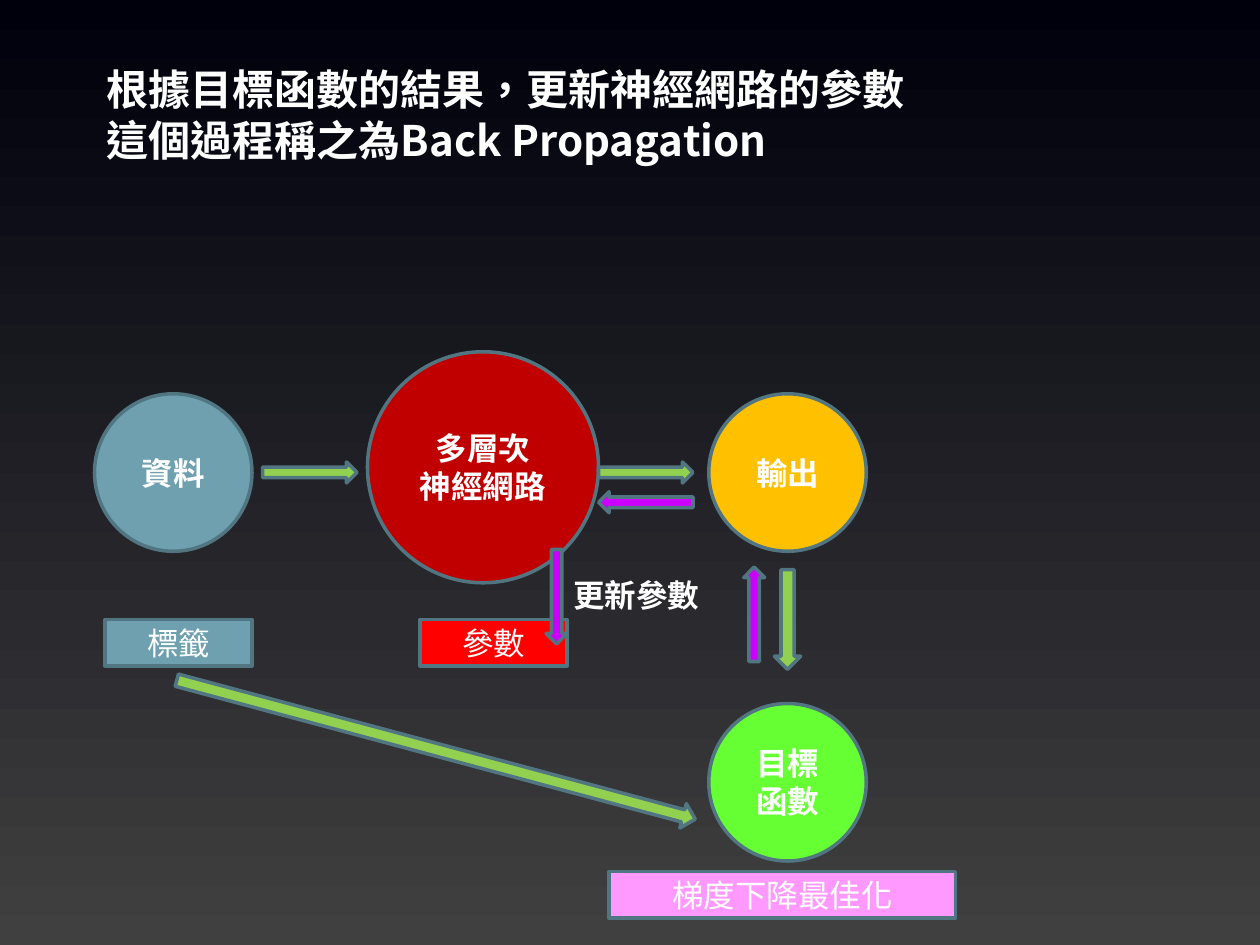
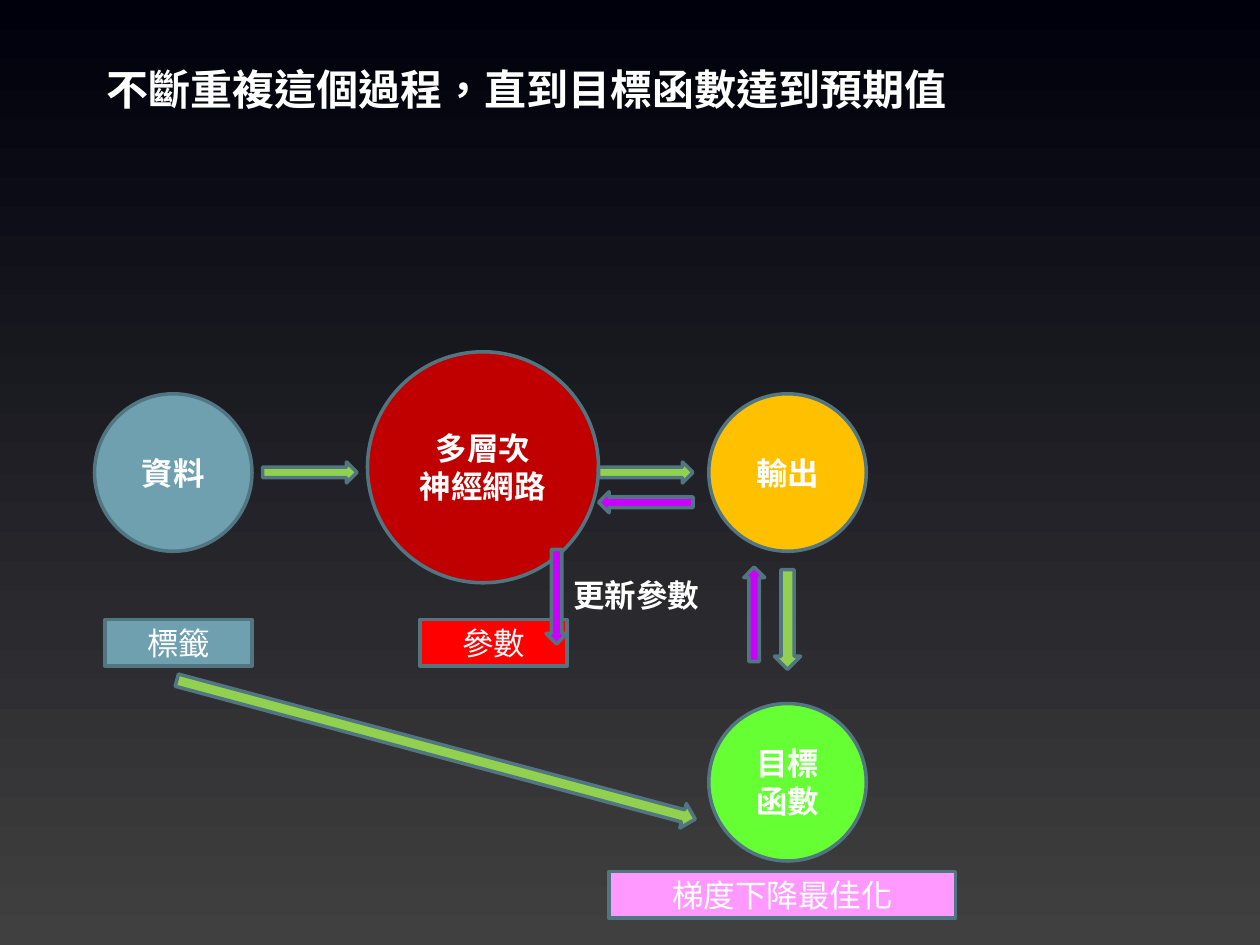
from dataclasses import dataclass
from lxml.etree import SubElement
from pptx import Presentation
from pptx.dml.color import RGBColor as RGB
from pptx.enum.shapes import MSO_SHAPE as SHAPE
from pptx.enum.text import MSO_ANCHOR as ANCHOR, MSO_AUTO_SIZE as AUTO, PP_ALIGN as ALIGN
from pptx.oxml.ns import qn
from pptx.util import Pt


@dataclass(frozen=True)
class Theme:
    font: str = "Noto Sans CJK SC"
    language: str = "zh-TW"
    title_size: int = 24
    label_size: int = 18
    outline_width: int = 2
    text: str = "FFFFFF"
    outline: str = "517682"
    background_bottom: str = "404040"
    background_top: str = "00000C"
    data: str = "6EA0B0"
    network: str = "C00000"
    parameters: str = "FF0000"
    output: str = "FFC000"
    target: str = "66FF33"
    optimizer: str = "FF99FF"
    forward: str = "92D050"
    backward: str = "CC00FF"


THEME = Theme()

# Boxes: left, top, width, height in points
TITLE_BOX = (54, 33, 558, 36)
DIAGRAM_BOX = (54, 201, 492, 324)

# Shape, text, fill, box relative to the diagram
CIRCLES = [
    ("資料", THEME.data, (0, 24, 90, 90)),
    ("多層次\n神經網路", THEME.network, (156, 0, 132, 132)),
    ("輸出", THEME.output, (351, 24, 90, 90)),
    ("目標\n函數", THEME.target, (351, 201, 90, 90)),
]
TAGS = [
    ("標籤", THEME.data, (6, 153, 84, 26.6)),
    ("參數", THEME.parameters, (186, 153, 84, 26.6)),
    ("梯度下降最佳化", THEME.optimizer, (294, 297, 198, 26.6)),
]
# Fill, centre relative to the diagram, length, thickness, rotation
ARROWS = [
    (THEME.forward, (123, 69), 54, 12, 0),      # data to network
    (THEME.forward, (315, 69), 54, 12, 0),      # network to output
    (THEME.forward, (396, 153), 57, 15, 90),    # output to target
    (THEME.forward, (195.2, 227.4), 306.7, 14.4, 15),  # tag to target
    (THEME.backward, (315, 86), 54, 12, 180),   # output to network
    (THEME.backward, (377, 150), 54, 12, 270),  # target to output
    (THEME.backward, (264, 140), 54, 12, 90),   # network to parameters
]
UPDATE_LABEL = ("更新參數", (266.4, 124.4, 90, 29))

TITLES = [
    "根據目標函數的結果，更新神經網路的參數\n這個過程稱之為Back Propagation",
    "不斷重複這個過程，直到目標函數達到預期值",
]


def write_text(frame, text, size=THEME.label_size, bold=False,
               align=ALIGN.LEFT, anchor=ANCHOR.TOP):
    """Fill a text frame, one paragraph for each line of text."""
    frame.word_wrap = True
    frame.vertical_anchor = anchor
    for index, line in enumerate(text.split("\n")):
        paragraph = frame.add_paragraph() if index else frame.paragraphs[0]
        paragraph.alignment = align
        run = paragraph.add_run()
        run.text = line
        run.font.size = Pt(size)
        run.font.bold = bold
        run.font.name = THEME.font
        run.font.color.rgb = RGB.from_string(THEME.text)
        properties = run.font._element
        properties.set("lang", THEME.language)
        SubElement(properties, qn("a:ea")).set("typeface", THEME.font)


def add_text_box(slide, box, text, **text_format):
    text_box = slide.shapes.add_textbox(*map(Pt, box))
    write_text(text_box.text_frame, text, **text_format)
    text_box.text_frame.auto_size = AUTO.SHAPE_TO_FIT_TEXT


def add_filled_shape(slide, kind, box, fill):
    shape = slide.shapes.add_shape(kind, *map(Pt, box))
    shape.shadow.inherit = False
    shape.fill.solid()
    shape.fill.fore_color.rgb = RGB.from_string(fill)
    shape.line.color.rgb = RGB.from_string(THEME.outline)
    shape.line.width = Pt(THEME.outline_width)
    return shape


def paint_background(slide):
    fill = slide.background.fill
    fill.gradient()
    fill.gradient_angle = 90
    for stop, color in zip(fill.gradient_stops,
                           (THEME.background_bottom, THEME.background_top)):
        stop.color.rgb = RGB.from_string(color)


def draw_title(slide, box, title):
    left, top, width, line_height = box
    height = line_height + 29 * title.count("\n")
    add_text_box(slide, (left, top, width, height), title,
                 size=THEME.title_size, bold=True)


def draw_training_diagram(slide, box):
    origin_left, origin_top = box[:2]

    def place(left, top, width, height):
        return origin_left + left, origin_top + top, width, height

    # Stages and their tags
    for kind, bold, nodes in ((SHAPE.OVAL, True, CIRCLES),
                              (SHAPE.RECTANGLE, False, TAGS)):
        for text, fill, node_box in nodes:
            node = add_filled_shape(slide, kind, place(*node_box), fill)
            write_text(node.text_frame, text, bold=bold,
                       align=ALIGN.CENTER, anchor=ANCHOR.MIDDLE)

    # Forward and backward flow
    for fill, (x, y), length, thickness, rotation in ARROWS:
        arrow_box = place(x - length / 2, y - thickness / 2, length, thickness)
        arrow = add_filled_shape(slide, SHAPE.RIGHT_ARROW, arrow_box, fill)
        arrow.rotation = rotation

    # Note beside the parameter update
    text, label_box = UPDATE_LABEL
    add_text_box(slide, place(*label_box), text, bold=True)


def main():
    presentation = Presentation()
    presentation.slide_width, presentation.slide_height = Pt(720), Pt(540)
    for title in TITLES:
        slide = presentation.slides.add_slide(presentation.slide_layouts[6])
        paint_background(slide)
        draw_training_diagram(slide, DIAGRAM_BOX)
        draw_title(slide, TITLE_BOX, title)
    presentation.save("out.pptx")


if __name__ == "__main__":
    main()
